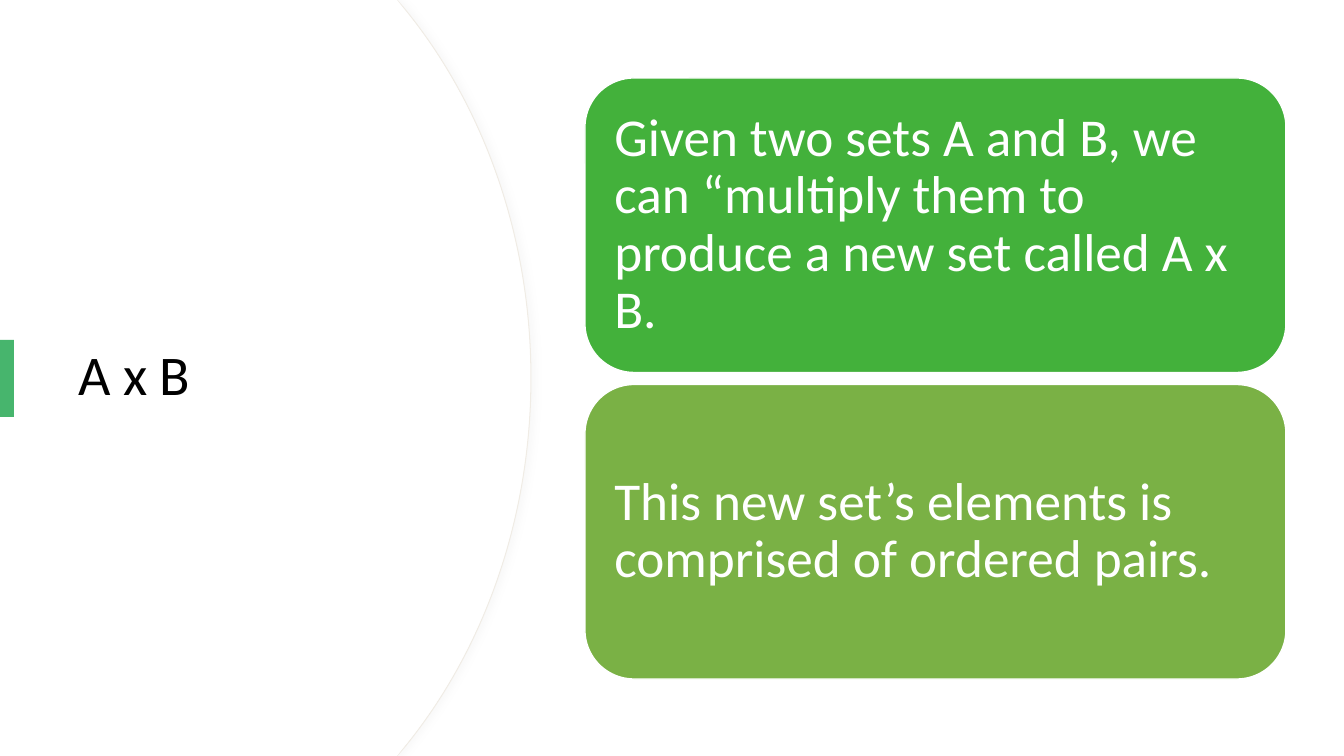
from pptx import Presentation
from pptx.dml.color import RGBColor
from pptx.enum.shapes import MSO_SHAPE as SHAPE
from pptx.enum.text import MSO_ANCHOR as ANCHOR, MSO_AUTO_SIZE as AUTO_SIZE, PP_ALIGN as ALIGN
from pptx.oxml import parse_xml
from pptx.oxml.ns import nsdecls, qn
from pptx.util import Emu, Pt

PX = 914400 / 100.8
SLIDE_W, SLIDE_H = 1344, 756
FONT = "Calibri"
BLACK = RGBColor(0x00, 0x00, 0x00)
WHITE = RGBColor(0xFF, 0xFF, 0xFF)
EDGE = RGBColor(0xF0, 0xEC, 0xE5)
ACCENT = RGBColor(0x47, 0xB5, 0x6D)
GREEN = RGBColor(0x43, 0xB1, 0x3B)
OLIVE = RGBColor(0x7A, 0xB1, 0x45)
CARDS = [
    ("Given two sets A and B, we can “multiply them to produce a new set called A x B.", GREEN),
    ("This new set’s elements is comprised of ordered pairs.", OLIVE),
]


def px(n):
    return Emu(round(n * PX))


def paint(sp, fill, line=None, width=0.75):
    sp.shadow.inherit = False
    sp.fill.solid()
    sp.fill.fore_color.rgb = fill
    if line is None:
        sp.line.fill.background()
    else:
        sp.line.color.rgb = line
        sp.line.width = Pt(width)


def add_block(slide, kind, left, top, width, height, *style):
    sp = slide.shapes.add_shape(kind, px(left), px(top), px(width), px(height))
    paint(sp, *style)
    return sp


def write(tf, text, size, color):
    tf.word_wrap = True
    tf.auto_size = AUTO_SIZE.NONE
    tf.vertical_anchor = ANCHOR.MIDDLE
    p = tf.paragraphs[0]
    p.alignment = ALIGN.LEFT
    p.line_spacing = 0.9
    r = p.add_run()
    r.text = text
    r.font.name = FONT
    r.font.size = Pt(size)
    r.font.color.rgb = color


def add_right_shadow(sp):
    effects = sp._element.spPr.find(qn("a:effectLst"))
    effects.append(parse_xml(
        f'<a:outerShdw {nsdecls("a")} blurRad="{Pt(4)}" dist="{Pt(3)}" dir="0">'
        '<a:srgbClr val="D9D9D9"><a:alpha val="15000"/></a:srgbClr></a:outerShdw>'))


def bend(segment, controls):
    points = "".join(f'<a:pt x="{px(x)}" y="{px(y)}"/>' for x, y in controls)
    curve = parse_xml(f'<a:cubicBezTo {nsdecls("a")}>{points}</a:cubicBezTo>')
    segment.getparent().replace(segment, curve)


def add_curved_panel(slide, width, height):
    shoulder, tip = (width - 127, 8), (width, height / 2)
    upper = [shoulder, (width - 49, 103), (width, 234), tip]
    lower = [(x, height - y) for x, y in reversed(upper)]
    corners = [(397, 0), shoulder, tip, lower[-1], (397, height), (0, height)]
    builder = slide.shapes.build_freeform(0, 0)
    builder.add_line_segments([(px(x), px(y)) for x, y in corners], close=True)
    sp = builder.convert_to_shape()
    segments = list(sp._element.spPr.iter(qn("a:lnTo")))
    for segment, points in zip(segments[2:4], (upper, lower)):
        bend(segment, points[1:])
    return sp


def add_title_panel(slide, width, height):
    edge = add_curved_panel(slide, width, height)
    paint(edge, WHITE, EDGE)
    add_right_shadow(edge)
    paint(add_curved_panel(slide, width - 1, height), WHITE)

    title = slide.shapes.title
    title.left, title.top, title.width, title.height = px(68), px(128), px(398), px(499)
    write(title.text_frame, "A x B", 40, BLACK)
    slide.shapes._spTree.append(title._element)

    add_block(slide, SHAPE.RECTANGLE, 0, 340, 14, 77, ACCENT)


def add_cards(slide, left, top, width, height, gap):
    card_h = (height - gap * (len(CARDS) - 1)) / len(CARDS)
    for i, (text, fill) in enumerate(CARDS):
        card = add_block(slide, SHAPE.ROUNDED_RECTANGLE, left, top + i * (card_h + gap),
                         width, card_h, fill, WHITE, 1)
        tf = card.text_frame
        tf.margin_left = tf.margin_right = tf.margin_top = tf.margin_bottom = px(15)
        write(tf, text, 38, WHITE)


def main():
    prs = Presentation()
    prs.slide_width, prs.slide_height = px(SLIDE_W), px(SLIDE_H)
    slide = prs.slides.add_slide(prs.slide_layouts[5])
    add_block(slide, SHAPE.RECTANGLE, 0, 0, SLIDE_W, SLIDE_H, WHITE)
    add_title_panel(slide, 531, SLIDE_H)
    add_cards(slide, 585, 78, 701, 601, 12)
    prs.save("out.pptx")


if __name__ == "__main__":
    main()
